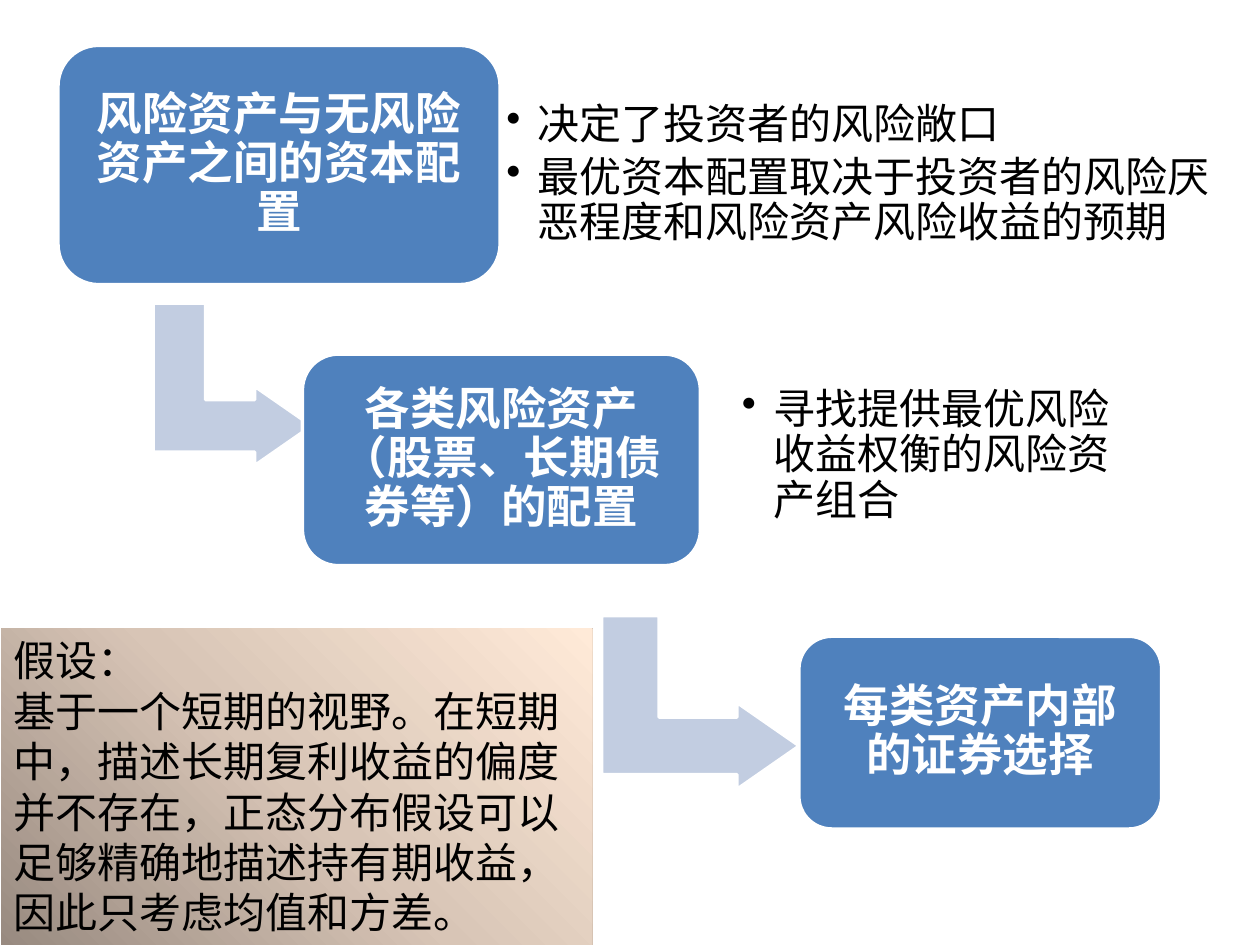
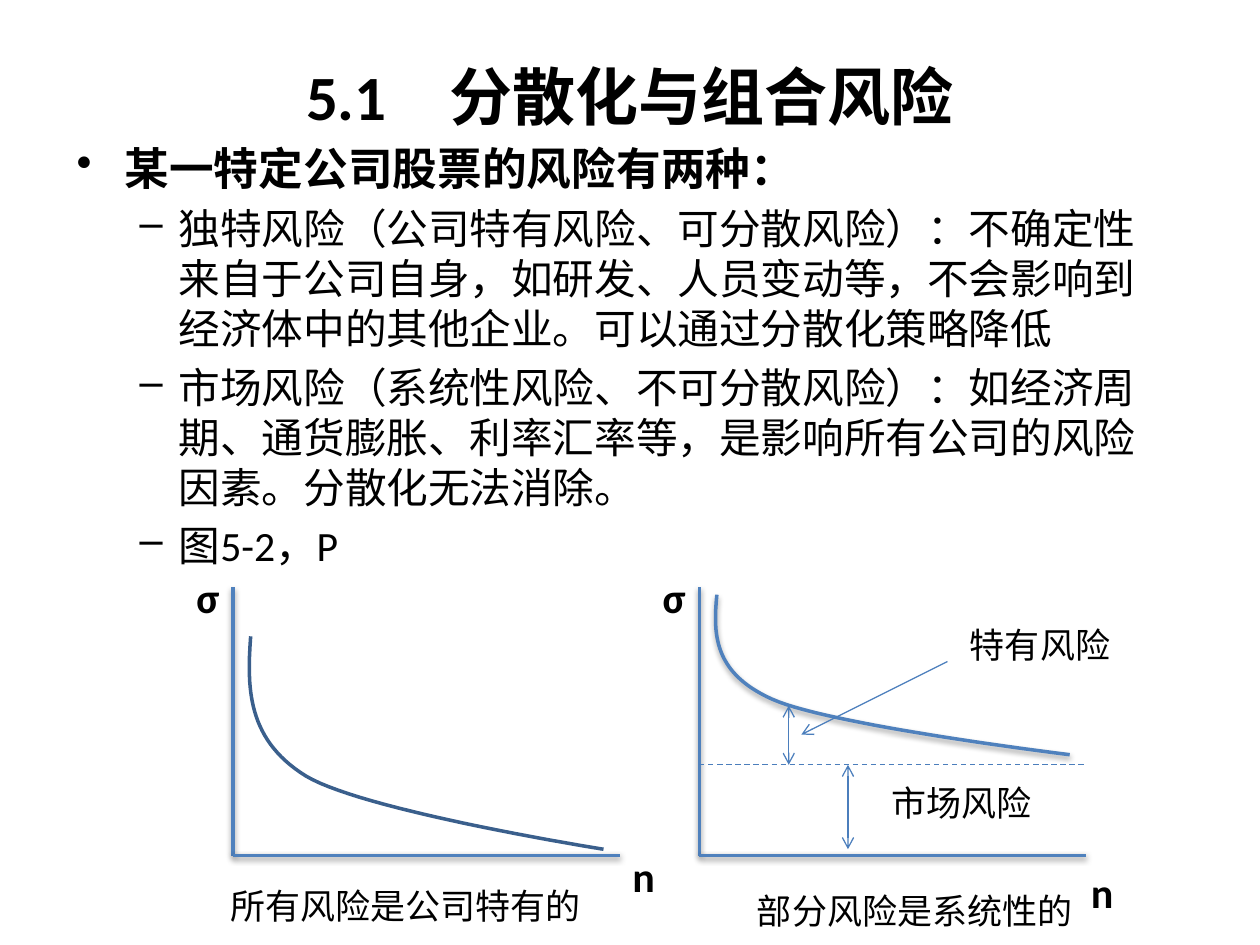
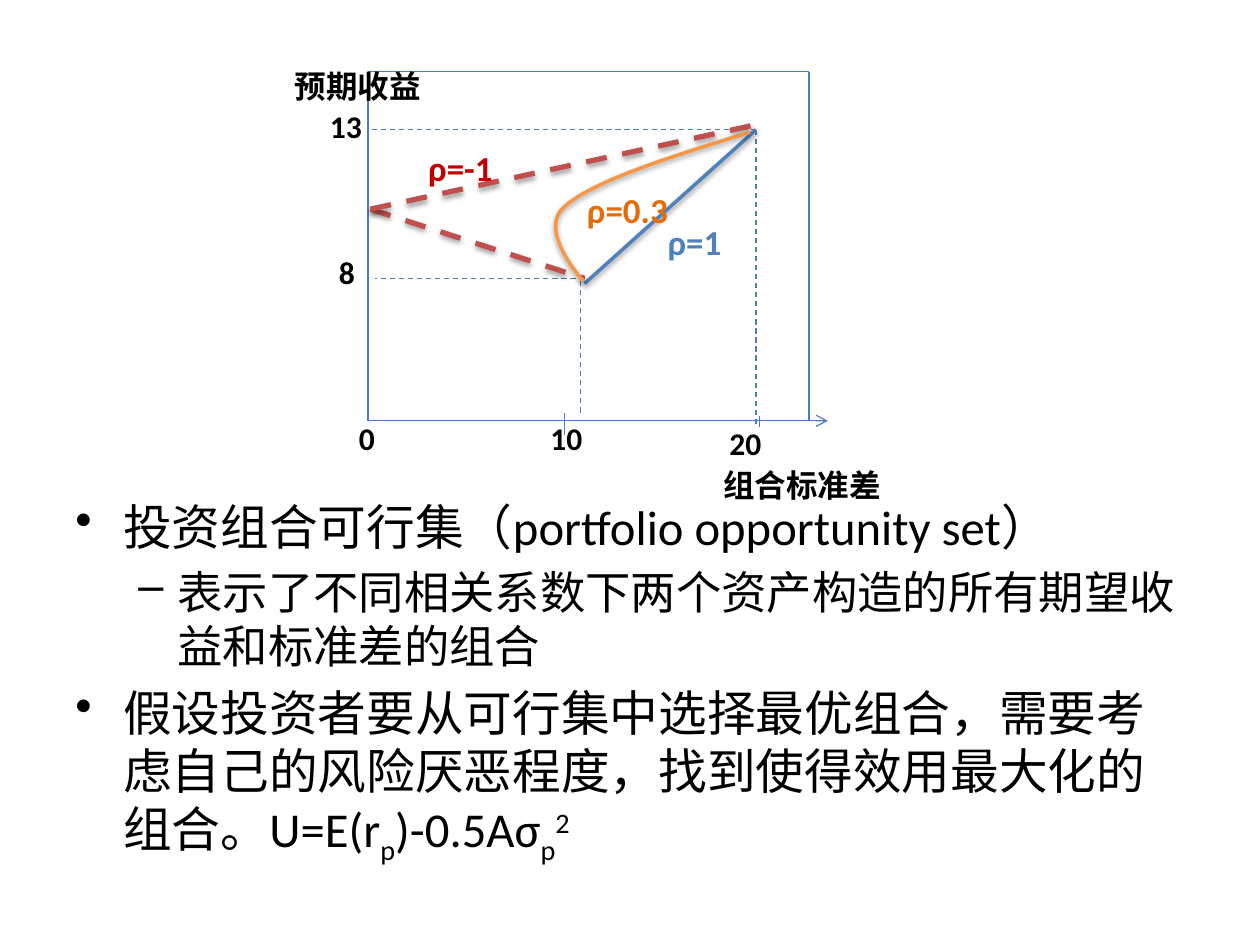
from copy import deepcopy
from dataclasses import dataclass
from typing import Optional

from lxml import etree
from pptx import Presentation
from pptx.dml.color import RGBColor
from pptx.enum.dml import MSO_LINE
from pptx.enum.shapes import MSO_CONNECTOR, MSO_SHAPE
from pptx.enum.text import MSO_ANCHOR as ANCHOR, PP_ALIGN as ALIGN
from pptx.oxml.ns import qn
from pptx.util import Emu, Pt

# Shared scale, font and colours
PX = 9144  # 100 px to the inch
FONT = "Calibri"
BLACK = RGBColor(0x00, 0x00, 0x00)
WHITE = RGBColor(0xFF, 0xFF, 0xFF)
BLUE = RGBColor(0x4F, 0x81, 0xBD)
THIN_BLUE = RGBColor(0x4B, 0x7E, 0xBC)
DARK_BLUE = RGBColor(0x3A, 0x5F, 0x8C)
PALE_BLUE = RGBColor(0xC2, 0xCD, 0xE1)
RED = RGBColor(0xC0, 0x50, 0x4D)
DEEP_RED = RGBColor(0xC0, 0x00, 0x00)
ORANGE = RGBColor(0xF7, 0x96, 0x46)
DEEP_ORANGE = RGBColor(0xE4, 0x6C, 0x0A)
SAND = (RGBColor(0x98, 0x8A, 0x80), RGBColor(0xD8, 0xC5, 0xB6), RGBColor(0xFF, 0xEA, 0xD8))


@dataclass(frozen=True)
class Box:
    x: int
    y: int
    w: int
    h: int

    def emu(self) -> list:
        return [Emu(v * PX) for v in (self.x, self.y, self.w, self.h)]


@dataclass(frozen=True)
class Para:
    text: str
    size: float = 24
    color: RGBColor = BLACK
    bold: bool = False
    align: ALIGN = ALIGN.LEFT
    bullet: str = ""
    left: int = 0
    hang: int = 0
    spacing: float = 1.0
    before: float = 0
    after: float = 0
    scripts: tuple = ()  # further runs: (text, baseline in percent)


@dataclass(frozen=True)
class Label:
    text: str
    box: Box
    size: float = 18
    color: RGBColor = BLACK
    bold: bool = True


@dataclass(frozen=True)
class Line:
    x1: int
    y1: int
    x2: int
    y2: int
    color: RGBColor = THIN_BLUE
    weight: float = 0.75
    dash: bool = False
    head: bool = False
    tail: bool = False
    shadow: bool = False


@dataclass(frozen=True)
class Curve:
    points: tuple  # start, then three points for each Bezier piece
    color: RGBColor
    shadow: bool = True


@dataclass(frozen=True)
class Step:
    text: str
    box: Box
    bullets: tuple = ()
    bullet_area: Optional[Box] = None
    bottom_margin: int = 10
    arrow: Optional[Box] = None


# Drawing functions
def set_effects(shape, shadow: bool) -> None:
    spPr = shape._element.spPr
    for old in spPr.findall(qn("a:effectLst")):
        spPr.remove(old)
    effects = etree.SubElement(spPr, qn("a:effectLst"))
    if shadow:
        outer = etree.SubElement(effects, qn("a:outerShdw"), blurRad="40000", dist="20000",
                                 dir="5400000", rotWithShape="0")
        clr = etree.SubElement(outer, qn("a:srgbClr"), val=str(BLACK))
        etree.SubElement(clr, qn("a:alpha"), val="38000")


def write(tf, paras, anchor=ANCHOR.TOP, margins=(10, 5, 10, 5)) -> None:
    tf.word_wrap = True
    tf.vertical_anchor = anchor
    tf.margin_left, tf.margin_top, tf.margin_right, tf.margin_bottom = (
        Emu(m * PX) for m in margins)
    for i, para in enumerate(paras):
        p = tf.add_paragraph() if i else tf.paragraphs[0]
        p.text = para.text
        p.alignment = para.align
        p.line_spacing = para.spacing
        p.space_before, p.space_after = Pt(para.before), Pt(para.after)
        for text, baseline in para.scripts:
            r = p.add_run()
            r.text = text
            r.font._element.set("baseline", str(baseline * 1000))
        for r in p.runs:
            r.font.name, r.font.size, r.font.bold = FONT, Pt(para.size), para.bold
            r.font.color.rgb = para.color
        if para.bullet:
            pPr = p._p.get_or_add_pPr()
            pPr.set("marL", str(para.left * PX))
            pPr.set("indent", str(-para.hang * PX))
            etree.SubElement(pPr, qn("a:buChar"), char=para.bullet)


def add_text(s, box: Box, paras, anchor=ANCHOR.TOP, margins=(10, 5, 10, 5)) -> None:
    write(s.shapes.add_textbox(*box.emu()).text_frame, paras, anchor, margins)


def add_label(s, label: Label) -> None:
    add_text(s, label.box, [Para(label.text, label.size, label.color, label.bold)])


def add_line(s, line: Line) -> None:
    ends = (Emu(v * PX) for v in (line.x1, line.y1, line.x2, line.y2))
    cx = s.shapes.add_connector(MSO_CONNECTOR.STRAIGHT, *ends)
    cx.line.color.rgb = line.color
    cx.line.width = Pt(line.weight)
    if line.dash:
        cx.line.dash_style = MSO_LINE.DASH
    ln = cx._element.spPr.find(qn("a:ln"))
    for wanted, tag in ((line.head, "a:headEnd"), (line.tail, "a:tailEnd")):
        if wanted:
            etree.SubElement(ln, qn(tag), type="arrow")
    set_effects(cx, line.shadow)


def bezier(p0, p1, p2, p3, t: float) -> tuple:
    u = 1 - t
    return tuple(round(PX * (u**3 * a + 3 * u * u * t * b + 3 * u * t * t * c + t**3 * d))
                 for a, b, c, d in zip(p0, p1, p2, p3))


def add_curve(s, curve: Curve, steps: int = 30) -> None:
    pts = curve.points
    samples = [bezier(*pts[i:i + 4], k / steps)
               for i in range(0, len(pts) - 1, 3) for k in range(1, steps + 1)]
    builder = s.shapes.build_freeform(pts[0][0] * PX, pts[0][1] * PX, scale=1.0)
    builder.add_line_segments(samples, close=False)
    sp = builder.convert_to_shape()
    sp.fill.background()
    sp.line.color.rgb = curve.color
    sp.line.width = Pt(2)
    set_effects(sp, curve.shadow)


def add_block(s, kind, box: Box, color: RGBColor, adjustments):
    sp = s.shapes.add_shape(kind, *box.emu())
    sp.shadow.inherit = False
    sp.fill.solid()
    sp.fill.fore_color.rgb = color
    sp.line.color.rgb = WHITE
    sp.line.width = Pt(2)
    for i, value in enumerate(adjustments):
        sp.adjustments[i] = value
    return sp


def add_step(s, step: Step) -> None:
    if step.arrow:
        arrow = add_block(s, MSO_SHAPE.BENT_UP_ARROW, step.arrow, PALE_BLUE, (0.33, 0.25, 0.36))
        arrow.rotation = 90
    sp = add_block(s, MSO_SHAPE.ROUNDED_RECTANGLE, step.box, BLUE, (0.17,))
    heading = Para(step.text, 26, WHITE, True, ALIGN.CENTER, spacing=0.9)
    write(sp.text_frame, [heading], ANCHOR.MIDDLE, (11, 11, 11, 11))
    if step.bullet_area:
        paras = [Para(b, bullet="•", left=25, hang=25, spacing=0.9, after=4)
                 for b in step.bullets]
        add_text(s, step.bullet_area, paras, ANCHOR.MIDDLE, (10, 10, 10, step.bottom_margin))


def add_gradient_panel(s, box: Box, paras) -> None:
    sp = s.shapes.add_shape(MSO_SHAPE.RECTANGLE, *box.emu())
    sp.shadow.inherit = False
    sp.line.fill.background()
    sp.fill.gradient()
    sp.fill.gradient_angle = 45
    stops = sp._element.spPr.find(".//" + qn("a:gsLst"))
    stops.insert(1, deepcopy(stops[0]))
    for i, (stop, color) in enumerate(zip(sp.fill.gradient_stops, SAND)):
        stop.position = i / 2
        stop.color.rgb = color
    write(sp.text_frame, paras)


def topic(text: str, size: float, bold: bool = False, scripts: tuple = ()) -> Para:
    return Para(text, size, bold=bold, bullet="•", left=38, hang=38,
                before=round(size / 5, 1), scripts=scripts)


def detail(text: str, size: float) -> Para:
    return Para(text, size, bullet="–", left=81, hang=31, before=round(size / 5, 1))


# Slide 1: asset allocation steps
STEPS = (
    Step("风险资产与无风险资产之间的资本配置", Box(46, 36, 351, 190),
         ("决定了投资者的风险敞口", "最优资本配置取决于投资者的风险厌恶程度和风险资产风险收益的预期"),
         Box(392, 49, 580, 205), 35, Box(120, 242, 129, 126)),
    Step("各类风险资产（股票、长期债券等）的配置", Box(240, 281, 316, 168),
         ("寻找提供最优风险收益权衡的风险资产组合",), Box(579, 296, 333, 132),
         arrow=Box(487, 479, 138, 157)),
    Step("每类资产内部的证券选择", Box(634, 505, 288, 153)),
)


def allocation_slide(s) -> None:
    for step in STEPS:
        add_step(s, step)
    add_gradient_panel(s, Box(1, 499, 469, 252), [
        Para("假设："),
        Para("基于一个短期的视野。在短期中，描述长期复利收益的偏度并不存在，"
             "正态分布假设可以足够精确地描述持有期收益，因此只考虑均值和方差。"),
    ])


# Slide 2: diversification and portfolio risk
RISK_CURVES = (
    Curve(((199, 505), (196, 546), (196, 587), (243, 616),
           (290, 644), (479, 674), (479, 674)), DARK_BLUE, False),
    Curve(((569, 472), (566, 503), (566, 534), (613, 555),
           (660, 576), (849, 599), (849, 599)), BLUE),
)
RISK_LINES = (
    Line(555, 607, 862, 607, dash=True),
    Line(626, 560, 626, 607, head=True, tail=True),
    Line(673, 607, 673, 674, head=True, tail=True),
    Line(752, 525, 636, 583, tail=True),
)
RISK_LABELS = (
    Label("σ", Box(146, 449, 55, 50), 24),
    Label("n", Box(492, 670, 55, 50), 24),
    Label("σ", Box(516, 449, 55, 50), 24),
    Label("n", Box(856, 683, 55, 50), 24),
    Label("特有风险", Box(760, 490, 173, 44), 20, bold=False),
    Label("市场风险", Box(698, 615, 173, 44), 20, bold=False),
    Label("所有风险是公司特有的", Box(173, 697, 327, 44), 20, bold=False),
    Label("部分风险是系统性的", Box(591, 701, 327, 44), 20, bold=False),
)


def risk_slide(s) -> None:
    add_text(s, Box(50, 13, 900, 125),
             [Para("5.1　分散化与组合风险", 36, bold=True, align=ALIGN.CENTER)], ANCHOR.MIDDLE)
    add_text(s, Box(51, 107, 891, 331), [
        topic("某一特定公司股票的风险有两种：", 25.5, True),
        detail("独特风险（公司特有风险、可分散风险）：不确定性来自于公司自身，如研发、"
               "人员变动等，不会影响到经济体中的其他企业。可以通过分散化策略降低", 23.8),
        detail("市场风险（系统性风险、不可分散风险）：如经济周期、通货膨胀、利率汇率等，"
               "是影响所有公司的风险因素。分散化无法消除。", 23.8),
        detail("图5-2，P", 23.8),
    ])
    for x in (185, 555):
        add_line(s, Line(x, 466, x, 679, BLUE, 2, shadow=True))
        add_line(s, Line(x, 679, x + 307, 679, BLUE, 2, shadow=True))
    for curve in RISK_CURVES:
        add_curve(s, curve)
    for line in RISK_LINES:
        add_line(s, line)
    for label in RISK_LABELS:
        add_label(s, label)


# Slide 3: portfolio opportunity set
SET_LINES = (
    # Frame and axis
    Line(292, 57, 292, 334),
    Line(292, 334, 657, 334, tail=True),
    Line(642, 334, 642, 57),
    Line(292, 57, 642, 57),
    # Ticks
    Line(448, 328, 448, 345),
    Line(603, 339, 603, 330),
    # Guides
    Line(461, 223, 461, 328, dash=True),
    Line(600, 103, 292, 103, dash=True),
    Line(600, 103, 600, 339, dash=True),
    Line(464, 221, 298, 221, dash=True),
    # Portfolios with correlation 1 and -1
    Line(464, 225, 600, 103, BLUE, 2, shadow=True),
    Line(294, 166, 464, 221, RED, 3, dash=True, shadow=True),
    Line(294, 166, 600, 99, RED, 3, dash=True, shadow=True),
)
SET_CURVE = Curve(((595, 105), (533, 124), (470, 144), (448, 164),
                   (426, 183), (463, 223), (463, 223)), ORANGE)
SET_LABELS = (
    Label("0", Box(275, 328, 69, 36)),
    Label("10", Box(427, 328, 69, 40)),
    Label("20", Box(569, 332, 69, 40)),
    Label("13", Box(252, 80, 69, 40)),
    Label("8", Box(259, 196, 69, 40)),
    Label("预期收益", Box(224, 48, 138, 36)),
    Label("组合标准差", Box(564, 365, 164, 36)),
    Label("ρ=1", Box(520, 170, 129, 39), 20, BLUE),
    Label("ρ=-1", Box(330, 111, 129, 39), 20, DEEP_RED),
    Label("ρ=0.3", Box(456, 145, 129, 39), 20, DEEP_ORANGE),
)


def opportunity_slide(s) -> None:
    add_text(s, Box(50, 389, 900, 281), [
        topic("投资组合可行集（portfolio opportunity set）", 27.8),
        detail("表示了不同相关系数下两个资产构造的所有期望收益和标准差的组合", 25.9),
        topic("假设投资者要从可行集中选择最优组合，需要考虑自己的风险厌恶程度，"
              "找到使得效用最大化的组合。U=E(r", 27.8,
              scripts=(("p", -25), (")-0.5Aσ", 0), ("p", -25), ("2", 30))),
    ])
    for line in SET_LINES:
        add_line(s, line)
    add_curve(s, SET_CURVE)
    for label in SET_LABELS:
        add_label(s, label)


def main() -> None:
    prs = Presentation()
    prs.slide_width, prs.slide_height = Emu(1000 * PX), Emu(750 * PX)
    for draw in (allocation_slide, risk_slide, opportunity_slide):
        draw(prs.slides.add_slide(prs.slide_layouts[6]))
    prs.save("out.pptx")


if __name__ == "__main__":
    main()
